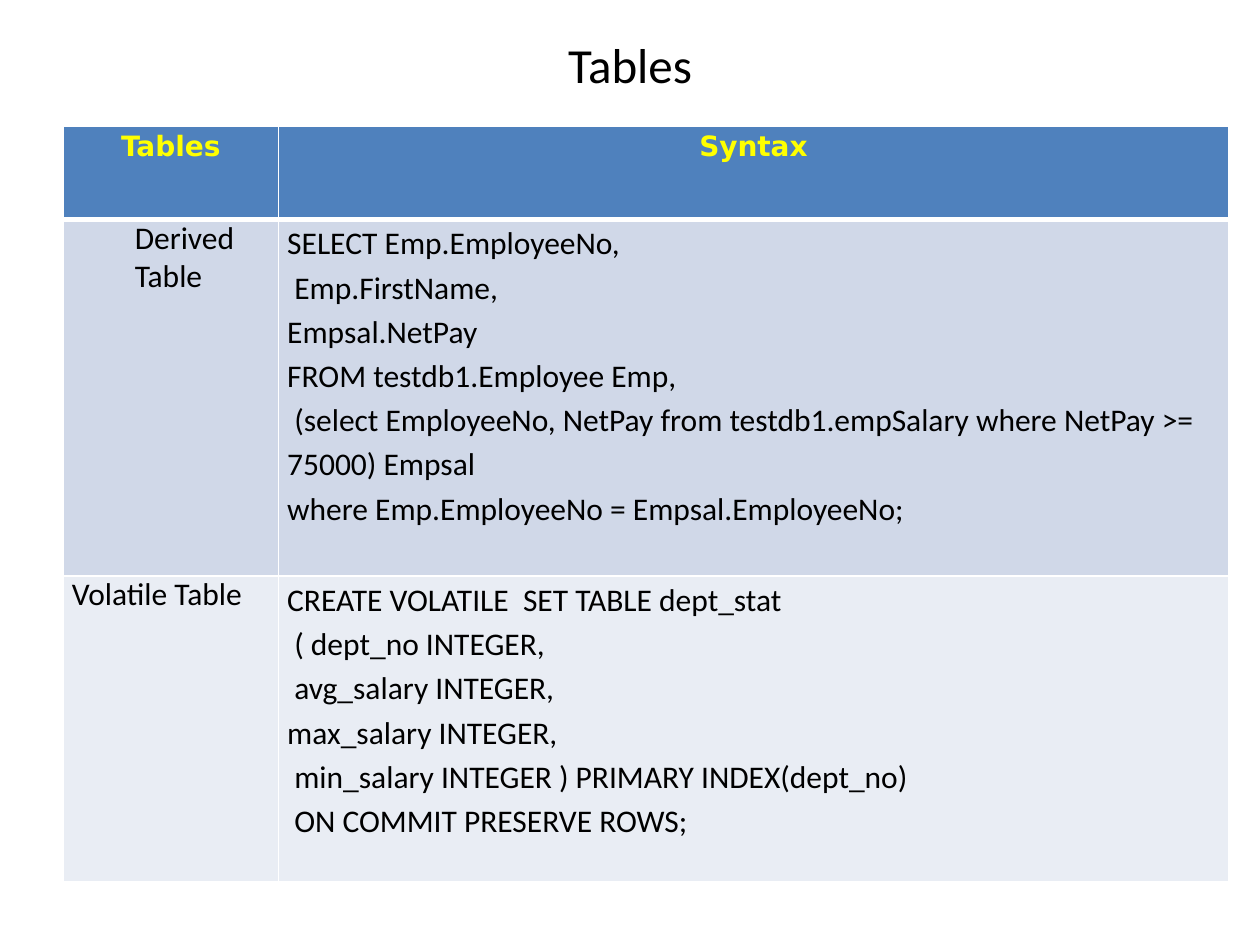
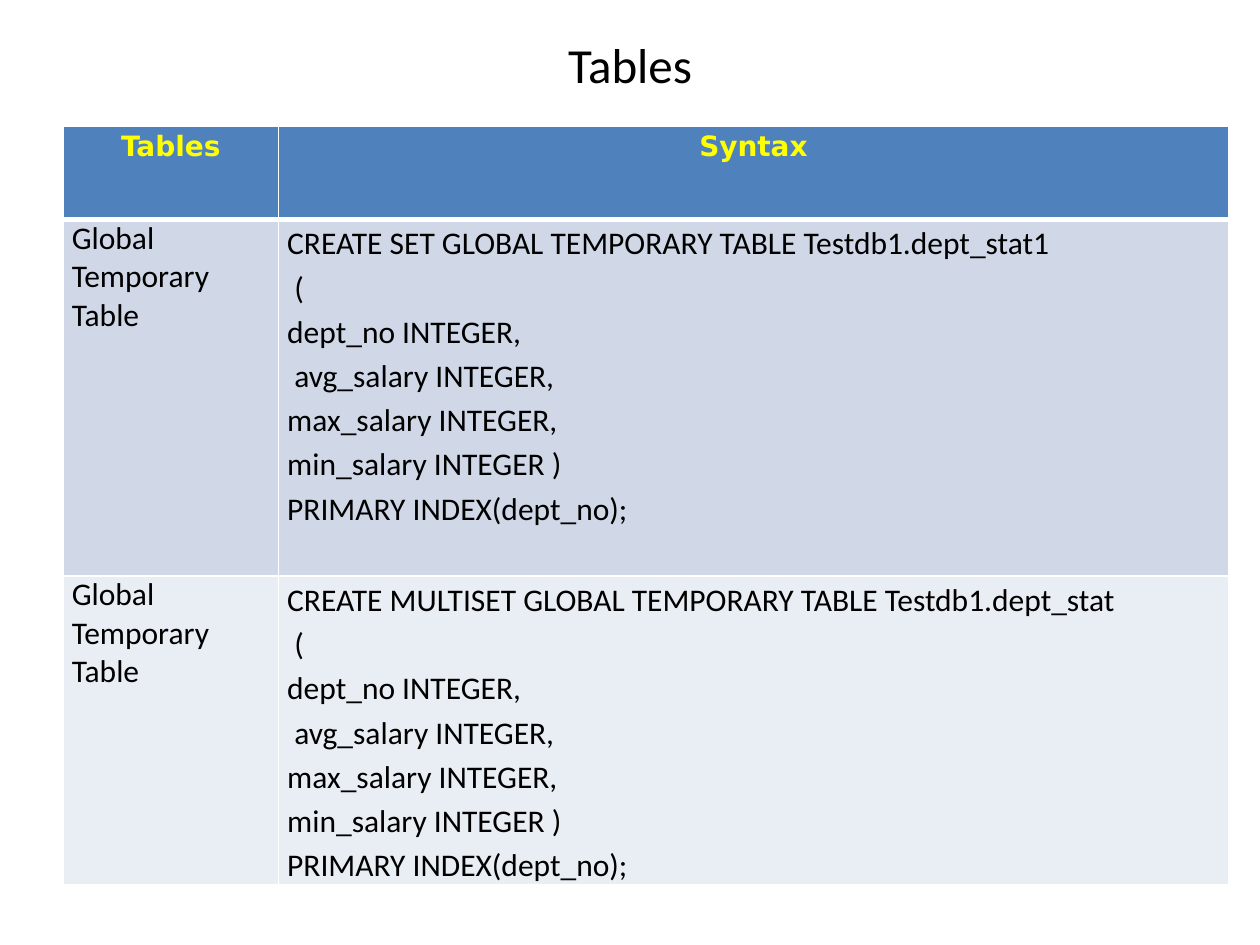
import pptx
import pptx.util
import pptx.dml.color
import pptx.enum.text
import pptx.oxml.ns
from lxml import etree

Inches = pptx.util.Inches
Pt = pptx.util.Pt
ALIGN = pptx.enum.text.PP_ALIGN
ANCHOR = pptx.enum.text.MSO_ANCHOR

TITLE_ONLY = 5
BODY_FONT = "Calibri"
HEADER_FONT = "DejaVu Sans"
BLACK = "000000"
WHITE = "FFFFFF"
YELLOW = "FFFF00"
HEADER_FILL = "4F81BD"
ROW_FILLS = ["D0D8E8", "E9EDF4"]
COLUMN_WIDTHS = [1.71, 7.54]
ROW_HEIGHTS = [0.74, 2.83, 2.43]
SYNTAX_SPACING = 1.15
NAME_INDENT = 0.5

TEMPORARY_COLUMNS = [
    " (",
    "dept_no INTEGER,",
    " avg_salary INTEGER,",
    "max_salary INTEGER,",
    "min_salary INTEGER )",
    "PRIMARY INDEX(dept_no);",
]

DERIVED_AND_VOLATILE = [
    ("Derived Table", 1, [
        "SELECT Emp.EmployeeNo,",
        " Emp.FirstName,",
        "Empsal.NetPay",
        "FROM testdb1.Employee Emp,",
        " (select EmployeeNo, NetPay from testdb1.empSalary where NetPay >= 75000) Empsal",
        "where Emp.EmployeeNo = Empsal.EmployeeNo;",
    ]),
    ("Volatile Table", 0, [
        "CREATE VOLATILE  SET TABLE dept_stat",
        " ( dept_no INTEGER,",
        " avg_salary INTEGER,",
        "max_salary INTEGER,",
        " min_salary INTEGER ) PRIMARY INDEX(dept_no)",
        " ON COMMIT PRESERVE ROWS;",
    ]),
]

GLOBAL_TEMPORARY = [
    ("Global Temporary Table", 0,
     ["CREATE SET GLOBAL TEMPORARY TABLE Testdb1.dept_stat1"] + TEMPORARY_COLUMNS),
    ("Global Temporary Table", 0,
     ["CREATE MULTISET GLOBAL TEMPORARY TABLE Testdb1.dept_stat"] + TEMPORARY_COLUMNS),
]


def color(value):
    return pptx.dml.color.RGBColor.from_string(value)


def style_font(font, name, size, value, bold=False):
    font.name = name
    font.size = Pt(size)
    font.bold = bold
    font.color.rgb = color(value)


def add_title(page, text):
    title = page.shapes.title
    title.left, title.top = Inches(0.5), Inches(0.17)
    title.width, title.height = Inches(9), Inches(0.67)
    frame = title.text_frame
    frame.text = text
    frame.vertical_anchor = ANCHOR.MIDDLE
    para = frame.paragraphs[0]
    para.alignment = ALIGN.CENTER
    style_font(para.font, BODY_FONT, 28, BLACK)


def set_borders(cell, top, bottom):
    properties = cell._tc.get_or_add_tcPr()
    qn = pptx.oxml.ns.qn
    for side, width in (("L", 1), ("R", 1), ("T", top), ("B", bottom)):
        line = etree.SubElement(properties, qn(f"a:ln{side}"), w=str(Pt(width)))
        fill = etree.SubElement(line, qn("a:solidFill"))
        etree.SubElement(fill, qn("a:srgbClr"), val=WHITE)


def format_cell(cell, fill, top=1, bottom=1):
    set_borders(cell, top, bottom)
    cell.fill.solid()
    cell.fill.fore_color.rgb = color(fill)
    cell.margin_left = cell.margin_right = Inches(0.07)
    cell.margin_top = cell.margin_bottom = 0
    cell.vertical_anchor = ANCHOR.TOP


def fill_header(cell, text):
    format_cell(cell, HEADER_FILL, bottom=3)
    cell.text = text
    para = cell.text_frame.paragraphs[0]
    para.alignment = ALIGN.CENTER
    para.line_spacing = SYNTAX_SPACING
    style_font(para.font, HEADER_FONT, 16, YELLOW, True)


def fill_name(cell, text, level):
    cell.text = text
    para = cell.text_frame.paragraphs[0]
    style_font(para.font, BODY_FONT, 18, BLACK)
    if level:
        para.level = level
        properties = para._p.get_or_add_pPr()
        properties.set("marL", str(Inches(NAME_INDENT * level)))
        properties.set("indent", "0")


def fill_syntax(cell, lines):
    cell.text = "\n".join(lines)
    for para in cell.text_frame.paragraphs:
        para.line_spacing = SYNTAX_SPACING
        style_font(para.font, BODY_FONT, 18, BLACK)


def add_syntax_table(page, entries):
    frame = page.shapes.add_table(
        len(ROW_HEIGHTS), len(COLUMN_WIDTHS),
        Inches(0.5), Inches(1), Inches(sum(COLUMN_WIDTHS)), Inches(sum(ROW_HEIGHTS)))
    table = frame.table
    for column, width in zip(table.columns, COLUMN_WIDTHS):
        column.width = Inches(width)
    for row, height in zip(table.rows, ROW_HEIGHTS):
        row.height = Inches(height)
    for index, heading in enumerate(["Tables", "Syntax"]):
        fill_header(table.cell(0, index), heading)
    for index, (name, level, lines) in enumerate(entries):
        name_cell, syntax_cell = table.rows[index + 1].cells
        for cell in (name_cell, syntax_cell):
            format_cell(cell, ROW_FILLS[index], top=1 if index else 3)
        fill_name(name_cell, name, level)
        fill_syntax(syntax_cell, lines)


def main():
    deck = pptx.Presentation()
    deck.slide_width = Inches(10)
    deck.slide_height = Inches(7.5)
    for entries in (DERIVED_AND_VOLATILE, GLOBAL_TEMPORARY):
        page = deck.slides.add_slide(deck.slide_layouts[TITLE_ONLY])
        add_title(page, "Tables")
        add_syntax_table(page, entries)
    deck.save("out.pptx")


if __name__ == "__main__":
    main()
